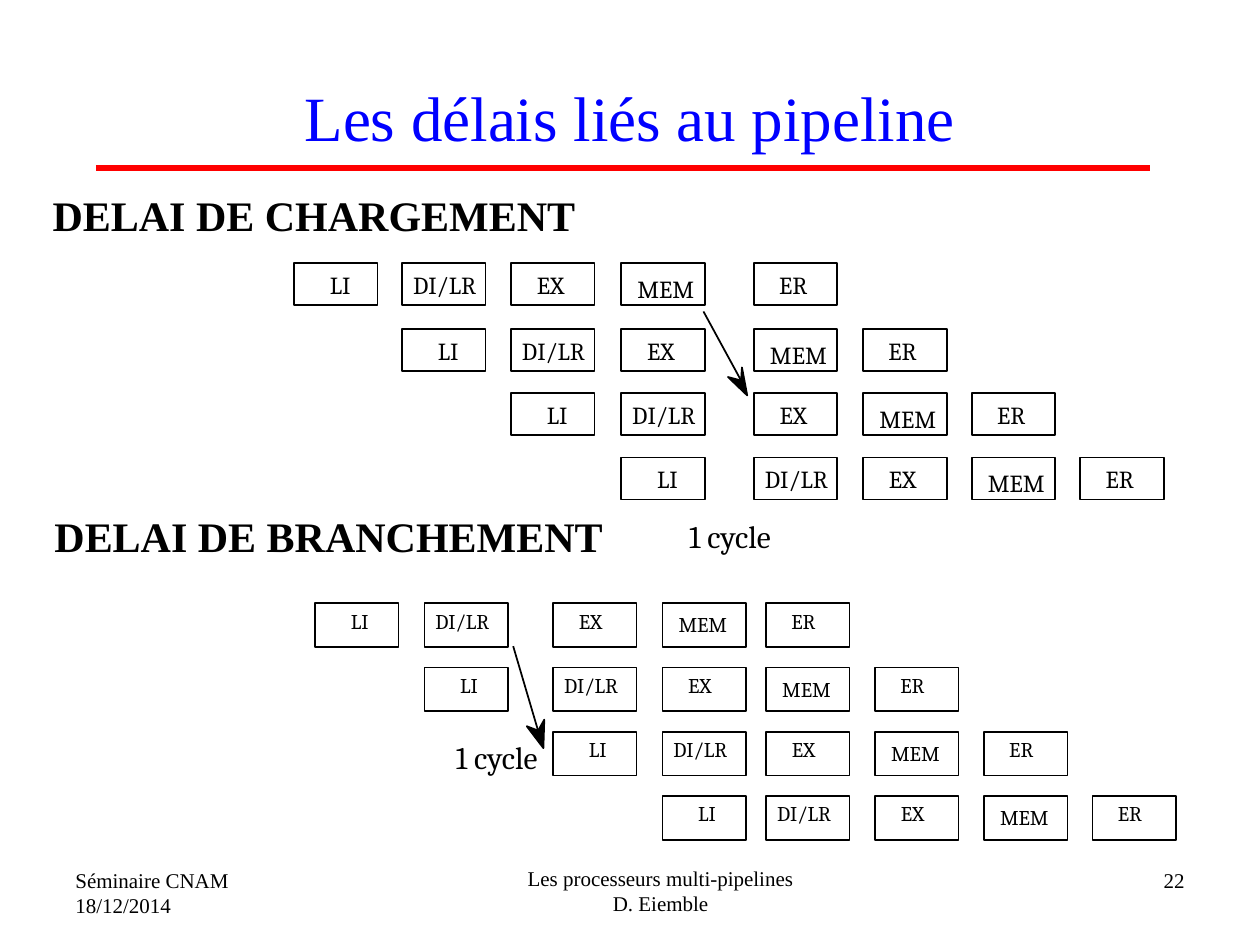
"""Build a slide showing load and branch delays in a processor pipeline."""
from dataclasses import dataclass
from typing import Any

from lxml.etree import SubElement
from pptx import Presentation
from pptx.dml.color import RGBColor
from pptx.enum.shapes import MSO_CONNECTOR as Connector, MSO_SHAPE as Preset
from pptx.enum.text import MSO_ANCHOR as Anchor, MSO_AUTO_SIZE as AutoSize, PP_ALIGN as Align
from pptx.oxml.ns import qn
from pptx.util import Pt

BLACK = RGBColor(0, 0, 0)
WHITE = RGBColor(255, 255, 255)
BLUE = RGBColor(0, 0, 255)
RED = RGBColor(255, 0, 0)
SERIF = "Times New Roman"
LABEL_FONT = "Cambria"
BOX_WIDTH = 47.75
ROW_COUNT = 4

Point = tuple[float, float]


@dataclass(frozen=True)
class Stage:
    name: str
    indent: float
    drop: float
    width_in_ems: float


@dataclass(frozen=True)
class Pipeline:
    columns: list[float]
    rows: list[float]
    box_height: float
    font_size: float
    label_drop: float
    arrow: tuple[Point, Point]
    arrowhead: list[Point]
    delay_at: Point


@dataclass(frozen=True)
class Caption:
    lines: list[str]
    left: float
    top: float
    width: float
    height: float
    size: float
    bold: bool = False
    wrap: bool = True
    align: Align = Align.LEFT


STAGES = [
    Stage("LI", 20.5, 0, 0.93),
    Stage("DI/LR", 6.3, 0, 2.6),
    Stage("EX", 14.75, 0, 1.33),
    Stage("MEM", 9.25, 2.25, 2.4),
    Stage("ER", 14.5, 0, 1.28),
]

PIPELINES = [
    Pipeline(
        columns=[168, 229.75, 292, 355, 430.75, 493.25, 555.25, 617.25],
        rows=[150.5, 188, 224.75, 261.5],
        box_height=24, font_size=14, label_drop=3.75,
        arrow=((402, 178), (423.5, 217.5)),
        arrowhead=[(427, 226), (416, 215.5), (423.5, 217.5), (424, 210)],
        delay_at=(393.75, 295.25),
    ),
    Pipeline(
        columns=[180, 242.5, 316, 378.5, 437.75, 500, 562.25, 624.25],
        rows=[344.75 + 36.75 * row for row in range(ROW_COUNT)],
        box_height=25, font_size=12, label_drop=2.75,
        arrow=((293.25, 369.25), (307.5, 417.5)),
        arrowhead=[(310.5, 427.5), (301, 415), (307.5, 417.5), (311, 411.25)],
        delay_at=(260.5, 422),
    ),
]

CAPTIONS = [
    Caption(["DELAI DE CHARGEMENT"], 23, 105, 313, 36, 24, bold=True, wrap=False),
    Caption(["DELAI DE BRANCHEMENT"], 24, 288, 328, 36, 24, bold=True, wrap=False),
    Caption(["Séminaire CNAM", "18/12/2014"], 36, 492, 168, 37.5, 12),
    Caption(["Les processeurs multi-pipelines", "D. Eiemble"], 258, 491, 239, 37.5, 12,
            align=Align.CENTER),
    Caption(["22"], 516, 492, 168, 37.5, 12, align=Align.RIGHT),
]


def add_line(shapes: Any, start: Point, end: Point, color: RGBColor, weight: float) -> None:
    line = shapes.add_connector(Connector.STRAIGHT, *map(Pt, start + end))
    line.line.color.rgb = color
    line.line.width = Pt(weight)
    SubElement(line._element.spPr, qn("a:effectLst"))


def paint(shape: Any, fill: RGBColor) -> None:
    shape.shadow.inherit = False
    shape.fill.solid()
    shape.fill.fore_color.rgb = fill
    shape.line.color.rgb = BLACK
    shape.line.width = Pt(1)


def add_label(shapes: Any, text: str, left: float, top: float, width: float, size: float) -> None:
    frame = shapes.add_textbox(Pt(left), Pt(top), Pt(width), Pt(size * 1.18)).text_frame
    frame.margin_left = frame.margin_right = frame.margin_top = frame.margin_bottom = 0
    frame.word_wrap = False
    frame.auto_size = AutoSize.SHAPE_TO_FIT_TEXT
    paragraph = frame.paragraphs[0]
    paragraph.text = text
    paragraph.font.name = LABEL_FONT
    paragraph.font.size = Pt(size)
    paragraph.font.color.rgb = BLACK


def add_pipeline(slide: Any, pipeline: Pipeline) -> None:
    shapes = slide.shapes.add_group_shape().shapes
    for row, top in enumerate(pipeline.rows):
        for stage, left in zip(STAGES, pipeline.columns[row:]):
            box = shapes.add_shape(Preset.RECTANGLE, Pt(left), Pt(top),
                                   Pt(BOX_WIDTH), Pt(pipeline.box_height))
            paint(box, WHITE)
            add_label(shapes, stage.name, left + stage.indent,
                      top + pipeline.label_drop + stage.drop,
                      stage.width_in_ems * pipeline.font_size, pipeline.font_size)
    tip, *corners = [(Pt(x), Pt(y)) for x, y in pipeline.arrowhead]
    builder = shapes.build_freeform(*tip)
    builder.add_line_segments(corners, close=True)
    paint(builder.convert_to_shape(), BLACK)
    add_line(shapes, *pipeline.arrow, BLACK, 1)
    add_label(shapes, "1 cycle", *pipeline.delay_at, 52, 18)


def add_caption(slide: Any, caption: Caption) -> None:
    frame = slide.shapes.add_textbox(Pt(caption.left), Pt(caption.top),
                                     Pt(caption.width), Pt(caption.height)).text_frame
    frame.word_wrap = caption.wrap
    if not caption.wrap:
        frame.auto_size = AutoSize.SHAPE_TO_FIT_TEXT
    frame.text = "\n".join(caption.lines)
    for paragraph in frame.paragraphs:
        paragraph.alignment = caption.align
        paragraph.font.name = SERIF
        paragraph.font.size = Pt(caption.size)
        paragraph.font.bold = caption.bold
        paragraph.font.color.rgb = BLACK


def add_title(slide: Any, text: str) -> None:
    title = slide.shapes.title
    title.left, title.top, title.width, title.height = map(Pt, (36, 21.5, 648, 90))
    title.text_frame.vertical_anchor = Anchor.MIDDLE
    title.text_frame.text = text
    paragraph = title.text_frame.paragraphs[0]
    paragraph.alignment = Align.CENTER
    paragraph.font.name = SERIF
    paragraph.font.size = Pt(36)
    paragraph.font.color.rgb = BLUE


def main() -> None:
    presentation = Presentation()
    presentation.slide_width, presentation.slide_height = Pt(720), Pt(540)
    slide = presentation.slides.add_slide(presentation.slide_layouts[5])
    add_line(slide.shapes, (54.75, 96), (657, 96), RED, 3.75)
    add_title(slide, "Les délais liés au pipeline")
    for pipeline in PIPELINES:
        add_pipeline(slide, pipeline)
    for caption in CAPTIONS:
        add_caption(slide, caption)
    presentation.save("out.pptx")


if __name__ == "__main__":
    main()
